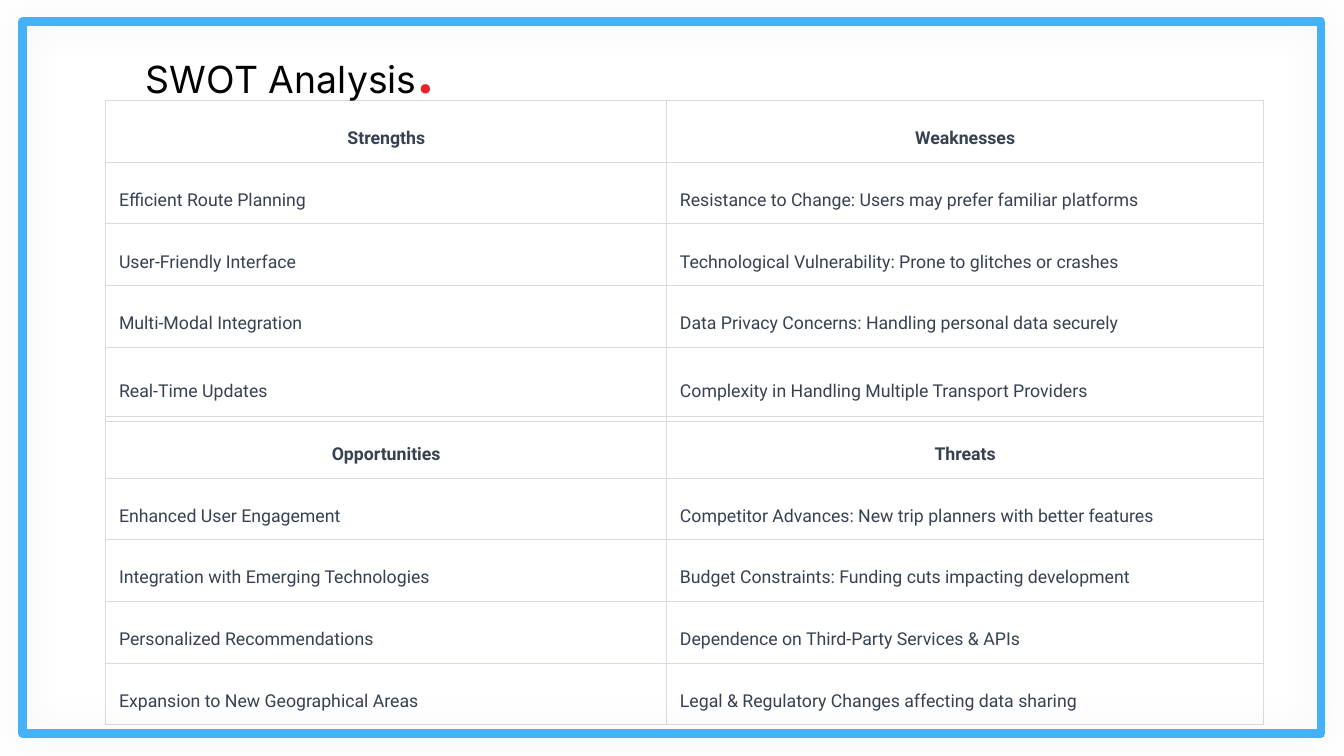
from lxml.etree import SubElement
from pptx import Presentation
from pptx.dml.color import RGBColor
from pptx.enum.shapes import MSO_SHAPE as Shape
from pptx.enum.text import MSO_ANCHOR as Anchor, MSO_AUTO_SIZE as AutoSize, PP_ALIGN as Align
from pptx.oxml.ns import qn
from pptx.util import Cm, Pt

BLACK = RGBColor(0x00, 0x00, 0x00)
RED = RGBColor(0xED, 0x21, 0x27)
SLATE = RGBColor(0x37, 0x41, 0x51)
GRID = RGBColor(0xD9, 0xD9, 0xE3)
BLUE = RGBColor(0x46, 0xB0, 0xF9)

INSET = Cm(0.25)
COLUMNS = (10.6, 11.28)
LEFT = 2.0

OUTLOOK = [
    ("Opportunities", "Threats"),
    ("Enhanced User Engagement", "Competitor Advances: New trip planners with better features"),
    ("Integration with Emerging Technologies", "Budget Constraints: Funding cuts impacting development"),
    ("Personalized Recommendations", "Dependence on Third-Party Services & APIs"),
    ("Expansion to New Geographical Areas", "Legal & Regulatory Changes affecting data sharing"),
]
PRESENT = [
    ("Strengths", "Weaknesses"),
    ("Efficient Route Planning", "Resistance to Change: Users may prefer familiar platforms"),
    ("User-Friendly Interface", "Technological Vulnerability: Prone to glitches or crashes"),
    ("Multi-Modal Integration", "Data Privacy Concerns: Handling personal data securely"),
    ("Real-Time Updates", "Complexity in Handling Multiple Transport Providers"),
]
GRIDS = [
    (OUTLOOK, 7.87, [1.09] * 5),
    (PRESENT, 1.9, [1.04, 1.12, 1.12, 1.12, 1.4]),
]


def write(paragraph, text, font="Roboto", size=9.5, color=SLATE, bold=False,
          align=Align.LEFT, spacing=None):
    paragraph.alignment = align
    if spacing:
        paragraph.line_spacing = spacing
    run = paragraph.add_run()
    run.text = text
    run.font.name = font
    run.font.size = Pt(size)
    run.font.bold = bold
    run.font.color.rgb = color


def set_insets(holder):
    holder.margin_left = holder.margin_right = INSET
    holder.margin_top = holder.margin_bottom = INSET


def set_borders(cell):
    properties = cell._tc.get_or_add_tcPr()
    for side in ("lnL", "lnR", "lnT", "lnB"):
        border = SubElement(properties, qn(f"a:{side}"), w=str(Pt(0.6)))
        fill = SubElement(border, qn("a:solidFill"))
        SubElement(fill, qn("a:srgbClr"), val=str(GRID))


def add_grid(slide, entries, top, heights):
    table = slide.shapes.add_table(
        len(entries), len(COLUMNS), Cm(LEFT), Cm(top),
        Cm(sum(COLUMNS)), Cm(sum(heights))).table
    table.first_row = table.horz_banding = False
    for column, width in zip(table.columns, COLUMNS):
        column.width = Cm(width)
    for row, height in zip(table.rows, heights):
        row.height = Cm(height)
    for r, entry in enumerate(entries):
        heading = r == 0
        for c, text in enumerate(entry):
            cell = table.cell(r, c)
            set_insets(cell)
            cell.vertical_anchor = Anchor.BOTTOM if heading else Anchor.MIDDLE
            set_borders(cell)
            cell.fill.background()
            write(cell.text_frame.paragraphs[0], text, bold=heading, spacing=1.71,
                  align=Align.CENTER if heading else Align.LEFT)


def add_title(slide):
    title = slide.shapes.add_textbox(Cm(2.51), Cm(0.46), Cm(18.8), Cm(1.8)).text_frame
    title.word_wrap = True
    title.auto_size = AutoSize.SHAPE_TO_FIT_TEXT
    set_insets(title)
    line = title.paragraphs[0]
    write(line, "SWOT Analysis", font="Inter", size=20, color=BLACK)
    write(line, ".", font="Inter", size=30, color=RED, bold=True)


def add_frame(slide):
    frame = slide.shapes.add_shape(Shape.RECTANGLE, Cm(0.43), Cm(0.41), Cm(24.54), Cm(13.46))
    frame.fill.background()
    frame.line.color.rgb = BLUE
    frame.line.width = Pt(4.5)
    frame.shadow.inherit = False
    effects = frame._element.spPr.find(qn("a:effectLst"))
    glow = SubElement(effects, qn("a:outerShdw"), blurRad=str(Pt(20)), dist="0", dir="0")
    shade = SubElement(glow, qn("a:srgbClr"), val=str(BLACK))
    SubElement(shade, qn("a:alpha"), val="7000")


def main():
    deck = Presentation()
    deck.slide_width, deck.slide_height = Cm(25.4), Cm(14.29)
    slide = deck.slides.add_slide(deck.slide_layouts[6])
    for entries, top, heights in GRIDS:
        add_grid(slide, entries, top, heights)
    add_title(slide)
    add_frame(slide)
    deck.save("out.pptx")


if __name__ == "__main__":
    main()
